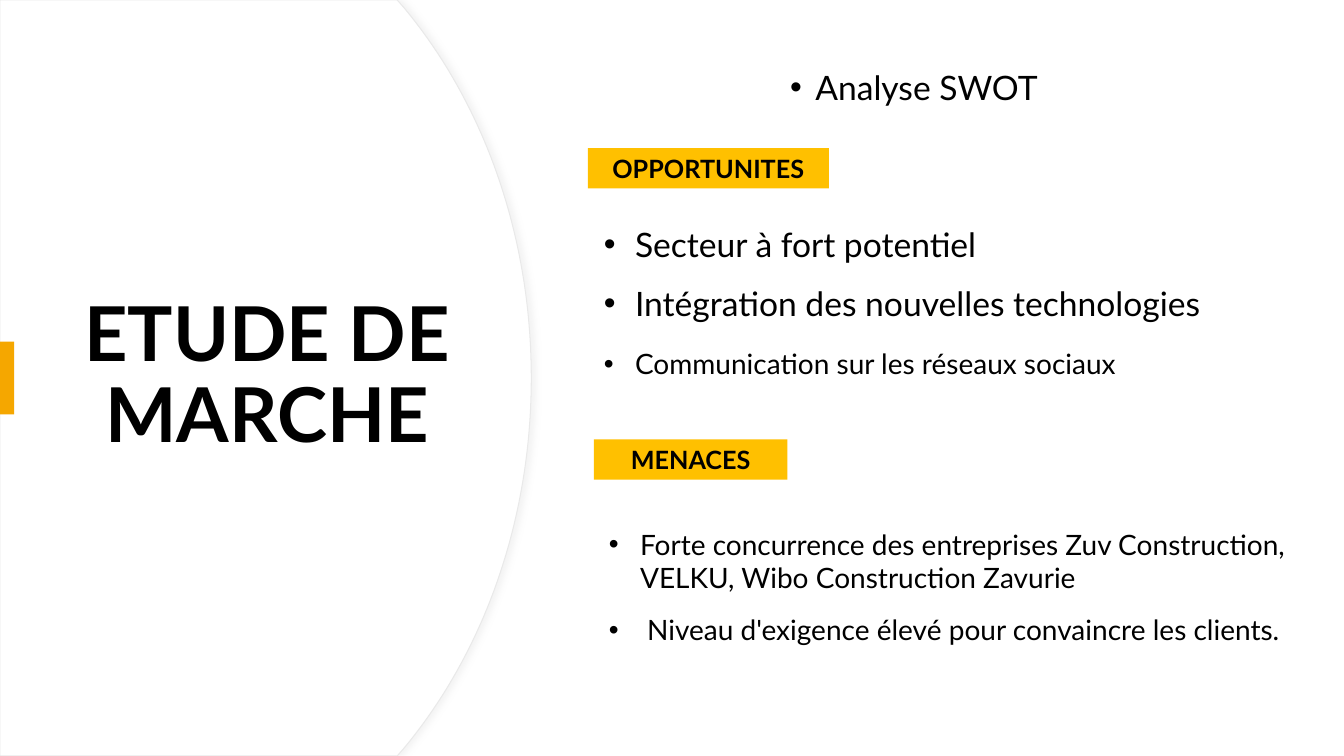
from lxml import etree
from pptx import Presentation
from pptx import util as u
from pptx.dml.color import RGBColor
from pptx.enum import shapes, text
from pptx.oxml.ns import qn

PX = 9144  # 100 px to the inch
BLACK, WHITE, AMBER, ORANGE = "000000", "FFFFFF", "FFC000", "F5A700"


def color(value):
    return RGBColor.from_string(value)


def write(shape, words, size=20, bold=False, align=text.PP_ALIGN.LEFT,
          anchor=text.MSO_ANCHOR.TOP, spacing=None, indent=0):
    """Put one formatted paragraph in a shape; an indent in px adds a bullet."""
    frame = shape.text_frame
    frame.word_wrap = True
    frame.vertical_anchor = anchor
    paragraph = frame.paragraphs[0]
    paragraph.alignment = align
    if spacing:
        paragraph.line_spacing = spacing
    run = paragraph.add_run()
    run.text = words
    run.font.name = "Lato"
    run.font.size = u.Pt(size)
    run.font.bold = bold
    run.font.color.rgb = color(BLACK)
    if indent:
        properties = paragraph._p.get_or_add_pPr()
        properties.set("marL", str(indent * PX))
        properties.set("indent", str(-indent * PX))
        etree.SubElement(properties, qn("a:buFont"), typeface="Arial")
        etree.SubElement(properties, qn("a:buChar"), char="•")


presentation = Presentation()
presentation.slide_width = 1333 * PX
presentation.slide_height = 750 * PX
slide = presentation.slides.add_slide(presentation.slide_layouts[6])
slide.background.fill.solid()
slide.background.fill.fore_color.rgb = color(WHITE)

# Left panel: the lower half of its curved edge mirrors the upper half
curve = [(401, 8), (479, 102), (527, 232), (527, 375)]
upper = [(394, 0)]
for step in range(41):
    t = step / 40
    weights = [(1 - t) ** 3, 3 * t * (1 - t) ** 2, 3 * t ** 2 * (1 - t), t ** 3]
    upper.append(tuple(sum(w * point[axis] for w, point in zip(weights, curve))
                       for axis in (0, 1)))
lower = [(x, 750 - y) for x, y in reversed(upper[:-1])]
outline = [(x * PX, y * PX) for x, y in upper + lower + [(0, 750)]]
builder = slide.shapes.build_freeform(0, 0)
builder.add_line_segments(outline, close=True)
panel = builder.convert_to_shape()
panel.fill.solid()
panel.fill.fore_color.rgb = color(WHITE)
panel.line.color.rgb = color("E9E9E9")
panel.line.width = u.Pt(0.75)

# Soft shadow to the right of the panel
panel.shadow.inherit = False
effects = panel._element.spPr.find(qn("a:effectLst"))
shadow = etree.SubElement(effects, qn("a:outerShdw"), blurRad=str(u.Pt(4)),
                          dist=str(u.Pt(3)), dir="0", algn="l", rotWithShape="0")
tint = etree.SubElement(shadow, qn("a:srgbClr"), val="D9D9D9")
etree.SubElement(tint, qn("a:alpha"), val="30000")

# Title
title = slide.shapes.add_textbox(68 * PX, 127 * PX, 394 * PX, 495 * PX)
write(title, "ETUDE DE MARCHE", size=54, bold=True, spacing=0.9,
      align=text.PP_ALIGN.CENTER, anchor=text.MSO_ANCHOR.MIDDLE)

# Edge marker and section labels
for words, left, top, width, height, fill in [
    ("", 0, 339, 14, 72, ORANGE),
    ("OPPORTUNITES", 583, 147, 239, 40, AMBER),
    ("MENACES", 589, 436, 192, 40, AMBER),
]:
    block = slide.shapes.add_shape(shapes.MSO_SHAPE.RECTANGLE,
                                   left * PX, top * PX, width * PX, height * PX)
    block.shadow.inherit = False
    block.fill.solid()
    block.fill.fore_color.rgb = color(fill)
    block.line.fill.background()
    if words:
        write(block, words, size=18, bold=True, align=text.PP_ALIGN.CENTER)

# Heading
heading = slide.shapes.add_textbox(583 * PX, 46 * PX, 647 * PX, 77 * PX)
write(heading, "Analyse SWOT", size=24, spacing=1.1, indent=25,
      align=text.PP_ALIGN.CENTER, anchor=text.MSO_ANCHOR.MIDDLE)

# Opportunities, then threats
for words, left, top, width, height, size, indent in [
    ("Secteur à fort potentiel", 589, 217, 703, 50, 24, 31),
    ("Intégration des nouvelles technologies", 589, 276, 703, 50, 24, 31),
    ("Communication sur les réseaux sociaux", 589, 339, 717, 44, 20, 31),
    ("Forte concurrence des entreprises Zuv Construction, "
     "VELKU, Wibo Construction Zavurie", 594, 518, 717, 77, 20, 31),
    ("Niveau d'exigence élevé pour convaincre les clients.",
     594, 603, 717, 77, 20, 38),
]:
    point = slide.shapes.add_textbox(left * PX, top * PX, width * PX, height * PX)
    write(point, words, size=size, indent=indent)

presentation.save("out.pptx")
